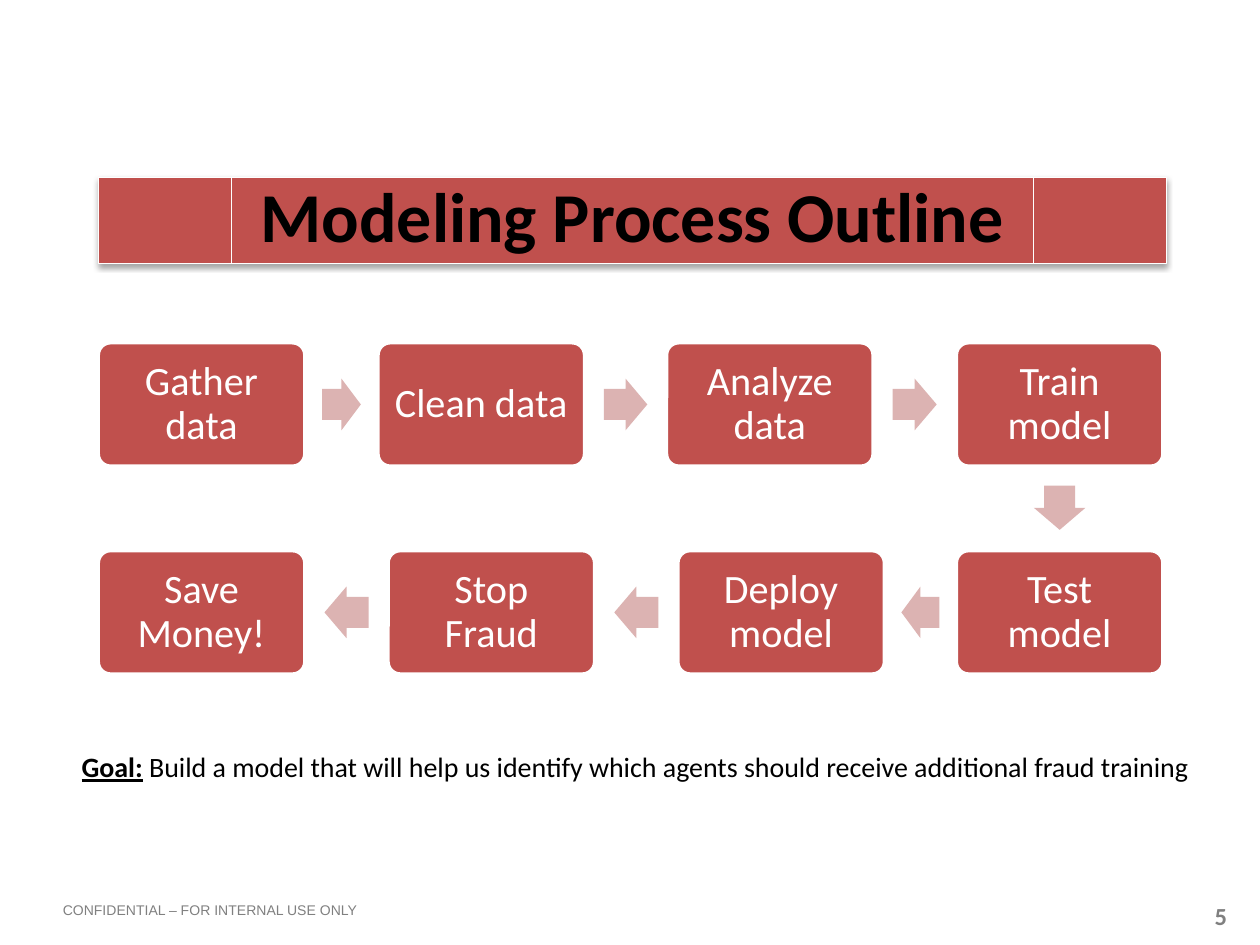
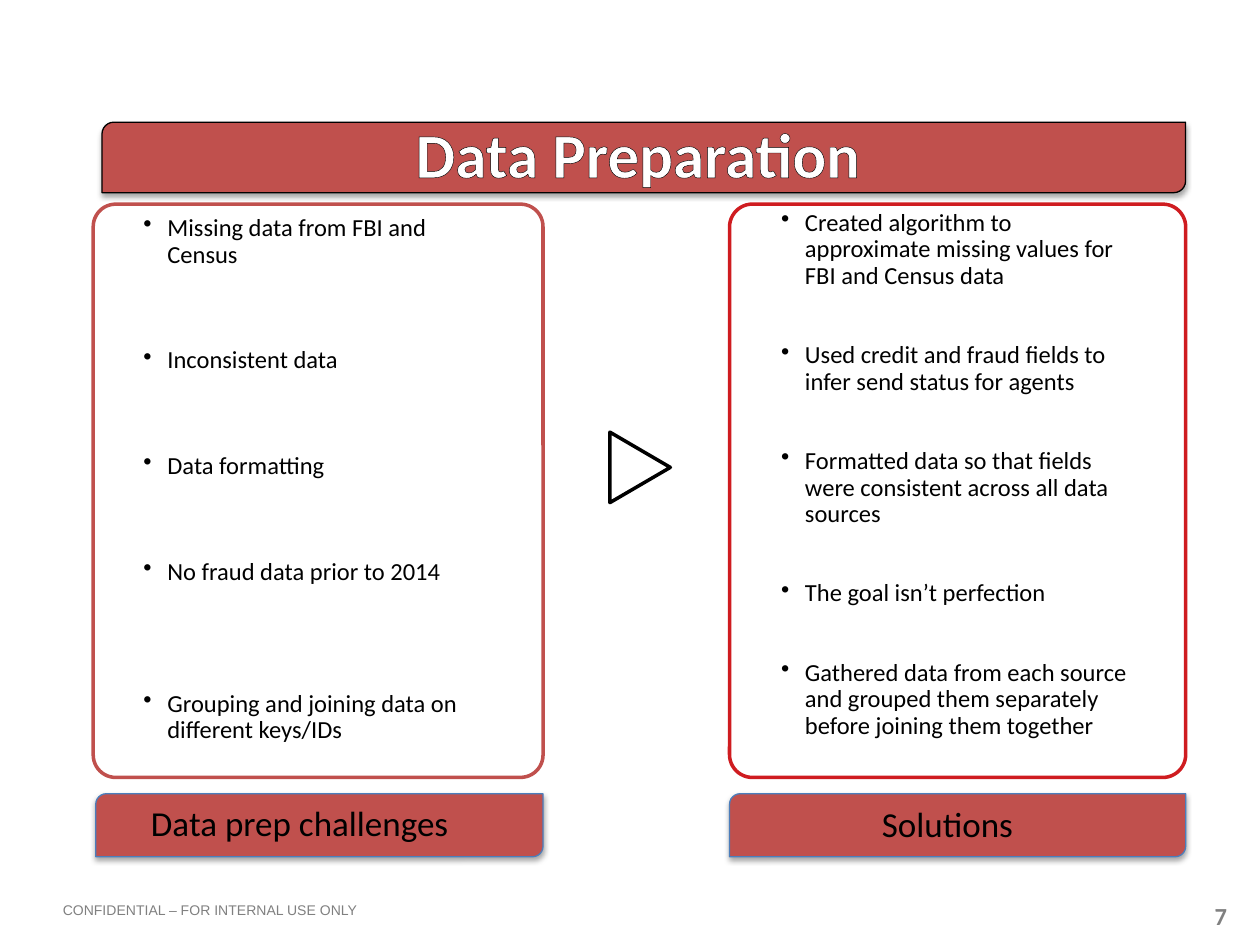
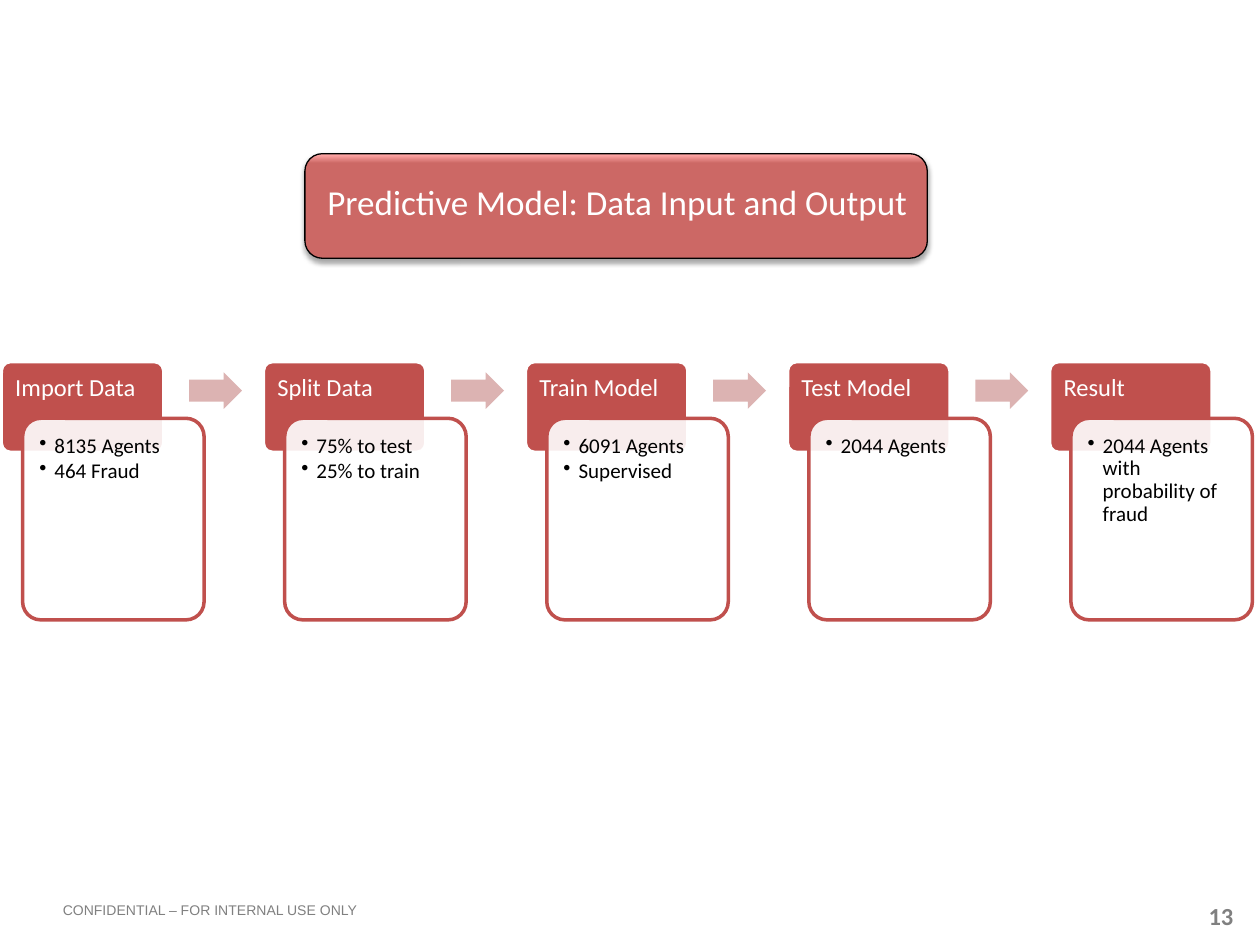
from lxml import etree
from pptx import Presentation
from pptx.dml.color import RGBColor
from pptx.enum.shapes import MSO_SHAPE
from pptx.enum.text import MSO_ANCHOR, PP_ALIGN
from pptx.oxml.ns import qn
from pptx.util import Inches, Pt

ROUNDED = MSO_SHAPE.ROUNDED_RECTANGLE
DIAGONAL = MSO_SHAPE.ROUND_2_DIAG_RECTANGLE
PROCESS = MSO_SHAPE.FLOWCHART_PREDEFINED_PROCESS
EXTRACT = MSO_SHAPE.FLOWCHART_EXTRACT
ARROW = MSO_SHAPE.RIGHT_ARROW
LEFT, CENTER = PP_ALIGN.LEFT, PP_ALIGN.CENTER
TOP, MIDDLE = MSO_ANCHOR.TOP, MSO_ANCHOR.MIDDLE

RED, PINK, BRIGHT_RED = "C0504D", "DCB3B2", "CF1C20"
WHITE, BLACK, GREY, BLUE = "FFFFFF", "000000", "808080", "4B7EBC"
BODY_FONT, FOOTER_FONT = "Calibri", "Arial"
BLANK_LINE = 15.1

STEP_WIDTH, STEP_HEIGHT = 1.64, 0.98
STEP_ROWS = [
    (2.72, [(0.78, "Gather data"), (3.0, "Clean data"),
            (5.29, "Analyze data"), (7.59, "Train model")]),
    (4.37, [(7.59, "Test model"), (5.38, "Deploy model"),
            (3.08, "Stop Fraud"), (0.78, "Save Money!")]),
]
CHALLENGES = [
    ("Missing data from FBI and Census", 3),
    ("Inconsistent data", 3),
    ("Data formatting", 3),
    ("No fraud data prior to 2014", 4),
    ("Grouping and joining data on different keys/IDs", 0),
]
SOLUTIONS = [
    ("Created algorithm to approximate missing values for FBI and Census data", 2),
    ("Used credit and fraud fields to infer send status for agents", 2),
    ("Formatted data so that fields were consistent across all data sources", 2),
    ("The goal isn’t perfection", 2),
    ("Gathered data from each source and grouped them separately "
     "before joining them together", 0),
]
STAGES = [
    ("Import Data", ["8135 Agents", "464 Fraud"]),
    ("Split Data", ["75% to test", "25% to train"]),
    ("Train Model", ["6091 Agents", "Supervised"]),
    ("Test Model", ["2044 Agents"]),
    ("Result", ["2044 Agents with probability of fraud"]),
]


def rgb(color):
    """Turn a hex string into a colour."""
    return RGBColor.from_string(color)


def add_element(parent, tag, **attributes):
    """Append a child element with the given attributes."""
    child = etree.SubElement(parent, qn(tag))
    for name, value in attributes.items():
        child.set(name, str(value))
    return child


def add_box(slide, kind, box, fill, line=None, line_width=2.0, corner=None):
    """Add a filled preset shape without a shadow."""
    shape = slide.shapes.add_shape(kind, *map(Inches, box))
    shape.shadow.inherit = False
    shape.fill.solid()
    shape.fill.fore_color.rgb = rgb(fill)
    if line:
        shape.line.color.rgb = rgb(line)
        shape.line.width = Pt(line_width)
    else:
        shape.line.fill.background()
    if corner is not None:
        shape.adjustments[0] = corner
    return shape


def set_frame(shape, anchor, inset):
    """Set wrapping, anchor and equal insets of a shape's text."""
    frame = shape.text_frame
    frame.word_wrap = True
    frame.vertical_anchor = anchor
    frame.margin_left = frame.margin_right = Inches(inset)
    frame.margin_top = frame.margin_bottom = Inches(inset)


def style_paragraph(paragraph, size, color, align=LEFT, bold=False,
                    font=BODY_FONT, spacing=0.9):
    """Set alignment, line spacing and font of a paragraph."""
    paragraph.alignment = align
    paragraph.line_spacing = spacing
    paragraph.font.name = font
    paragraph.font.size = Pt(size)
    paragraph.font.bold = bold
    paragraph.font.color.rgb = rgb(color)


def add_label(slide, box, text, size, color, **style):
    """Add a one-paragraph text box and return its paragraph."""
    label = slide.shapes.add_textbox(*map(Inches, box))
    label.text_frame.word_wrap = True
    paragraph = label.text_frame.paragraphs[0]
    paragraph.text = text
    style_paragraph(paragraph, size, color, **style)
    return paragraph


def write_bullets(frame, items, size, indent):
    """Write bulleted (text, space after) items into a text frame."""
    for index, (text, space_after) in enumerate(items):
        paragraph = frame.add_paragraph() if index else frame.paragraphs[0]
        paragraph.text = text
        properties = paragraph._p.get_or_add_pPr()
        properties.set("marL", str(Inches(indent)))
        properties.set("indent", str(-Inches(indent)))
        add_element(properties, "a:buChar", char="•")
        style_paragraph(paragraph, size, BLACK)
        paragraph.space_after = Pt(space_after)


def outline_text(paragraph, color):
    """Give the letters of a paragraph a thin outline."""
    for run in paragraph.runs:
        properties = run._r.get_or_add_rPr()
        line = add_element(properties, "a:ln", w=Pt(0.75))
        properties.insert(0, line)
        add_element(add_element(line, "a:solidFill"), "a:srgbClr", val=color)


def add_banner(slide, kind, box, line):
    """Add a red banner with a soft shadow below it."""
    banner = add_box(slide, kind, box, RED, line, 0.75)
    effects = banner._element.spPr.find(qn("a:effectLst"))
    shadow = add_element(effects, "a:outerShdw", blurRad=Pt(3.1), dist=Pt(1.8),
                         dir=90 * 60000, rotWithShape=0)
    color = add_element(shadow, "a:srgbClr", val=BLACK)
    add_element(color, "a:alpha", val=35000)
    return banner


def add_flow_arrow(slide, center_x, center_y, length, height, rotation=0):
    """Add a pale block arrow around a centre point."""
    box = (center_x - length / 2, center_y - height / 2, length, height)
    arrow = add_box(slide, ARROW, box, PINK)
    arrow.adjustments[0] = 0.6
    arrow.adjustments[1] = 0.5
    arrow.rotation = rotation


def add_step(slide, left, top, text):
    """Add one rounded step of the process."""
    step = add_box(slide, ROUNDED, (left, top, STEP_WIDTH, STEP_HEIGHT),
                   RED, WHITE, corner=0.1)
    set_frame(step, MIDDLE, 0.1)
    paragraph = step.text_frame.paragraphs[0]
    paragraph.text = text
    style_paragraph(paragraph, 23, WHITE, CENTER)


def add_stage(slide, left, title, items):
    """Add a stage header with its overlapping detail card."""
    header = add_box(slide, ROUNDED, (left, 2.87, 1.29, 0.72), RED, WHITE, corner=0.1)
    set_frame(header, TOP, 0.09)
    paragraph = header.text_frame.paragraphs[0]
    paragraph.text = title
    style_paragraph(paragraph, 14, WHITE)

    card = add_box(slide, ROUNDED, (left + 0.17, 3.32, 1.44, 1.6), WHITE, RED, corner=0.1)
    color = card._element.spPr.find(qn("a:solidFill")).find(qn("a:srgbClr"))
    add_element(color, "a:alpha", val=90000)
    set_frame(card, TOP, 0.09)
    write_bullets(card.text_frame, [(item, 1.8) for item in items], 12, 0.12)


def add_panel(slide, box, line, text_box, items):
    """Add an outlined panel with a spaced bullet list."""
    add_box(slide, ROUNDED, box, WHITE, line, corner=0.05)
    text = slide.shapes.add_textbox(*map(Inches, text_box))
    text.text_frame.word_wrap = True
    spaced = [(item, blanks * BLANK_LINE) for item, blanks in items]
    write_bullets(text.text_frame, spaced, 14, 0.19)


def add_slide(presentation, number):
    """Add a blank slide with the shared footer and number."""
    slide = presentation.slides.add_slide(presentation.slide_layouts[6])
    add_label(slide, (9.45, 7.1, 0.48, 0.34), str(number), 14, GREY,
              align=CENTER, bold=True, spacing=1.0)
    add_label(slide, (0.4, 7.11, 2.7, 0.24), "CONFIDENTIAL – FOR INTERNAL USE ONLY",
              8, GREY, font=FOOTER_FONT, spacing=1.0)
    return slide


def build_process_slide(presentation):
    """Build the modeling process outline."""
    slide = add_slide(presentation, 5)
    for top, steps in STEP_ROWS:
        for left, text in steps:
            add_step(slide, left, top, text)
        for (start, _), (end, _) in zip(steps, steps[1:]):
            gap = abs(end - start) - STEP_WIDTH
            add_flow_arrow(slide, (start + end + STEP_WIDTH) / 2, top + STEP_HEIGHT / 2,
                           gap * 0.53, 0.41, 0 if end > start else 180)
    add_flow_arrow(slide, 7.59 + STEP_WIDTH / 2, 4.03, 0.35, 0.41, 90)

    add_banner(slide, PROCESS, (0.78, 1.41, 8.48, 0.68), WHITE)
    title = add_label(slide, (0.72, 1.32, 8.6, 0.77), "Modeling Process Outline",
                      40, BLACK, align=CENTER, bold=True, spacing=1.0)
    outline_text(title, WHITE)

    goal = add_label(slide, (0.55, 5.93, 9.2, 0.83), "Goal:", 16, BLACK)
    goal.runs[0].font.bold = True
    goal.runs[0].font.underline = True
    goal.add_run().text = (" Build a model that will help us identify which agents "
                           "should receive additional fraud training")


def build_preparation_slide(presentation):
    """Build the data preparation challenges and solutions."""
    slide = add_slide(presentation, 7)
    add_panel(slide, (0.74, 1.62, 3.57, 4.55), RED, (1.04, 1.66, 3, 4.51), CHALLENGES)
    pointer = add_box(slide, EXTRACT, (4.8, 3.47, 0.56, 0.48), WHITE, BLACK)
    pointer.rotation = 90
    add_panel(slide, (5.79, 1.62, 3.62, 4.55), BRIGHT_RED, (6.1, 1.62, 2.99, 4.34), SOLUTIONS)

    add_banner(slide, DIAGONAL, (0.76, 6.3, 3.55, 0.5), BLUE)
    add_label(slide, (1.1, 6.35, 2.87, 0.4), "Data prep challenges", 20, BLACK)
    add_banner(slide, DIAGONAL, (5.79, 6.3, 3.62, 0.5), BLUE)
    add_label(slide, (6.9, 6.36, 1.41, 0.4), "Solutions", 20, BLACK)

    add_banner(slide, DIAGONAL, (0.81, 0.97, 8.6, 0.56), BLACK)
    title = add_label(slide, (3.2, 0.93, 3.76, 0.65), "Data Preparation", 36, WHITE, bold=True)
    outline_text(title, BLACK)


def build_model_slide(presentation):
    """Build the predictive model stages."""
    slide = add_slide(presentation, 13)
    pitch = 2.08
    for index, (title, items) in enumerate(STAGES):
        left = 0.01 + index * pitch
        if index:
            add_flow_arrow(slide, left - 0.38, 3.1, 0.42, 0.29)
        add_stage(slide, left, title, items)

    banner = add_banner(slide, ROUNDED, (2.42, 1.22, 4.94, 0.83), BLACK)
    banner.fill.gradient()
    banner.fill.gradient_angle = 90
    stops = [(0.91, "CC6865"), (0.99, "FFA6A5")]
    for stop, (position, color) in zip(banner.fill.gradient_stops, stops):
        stop.position = position
        stop.color.rgb = rgb(color)
    add_label(slide, (2.5, 1.42, 4.94, 0.4), "Predictive Model: Data Input and Output", 20, WHITE)


def main():
    """Build and save the presentation."""
    presentation = Presentation()
    presentation.slide_width = Inches(10)
    presentation.slide_height = Inches(7.5)
    build_process_slide(presentation)
    build_preparation_slide(presentation)
    build_model_slide(presentation)
    presentation.save("out.pptx")


if __name__ == "__main__":
    main()
